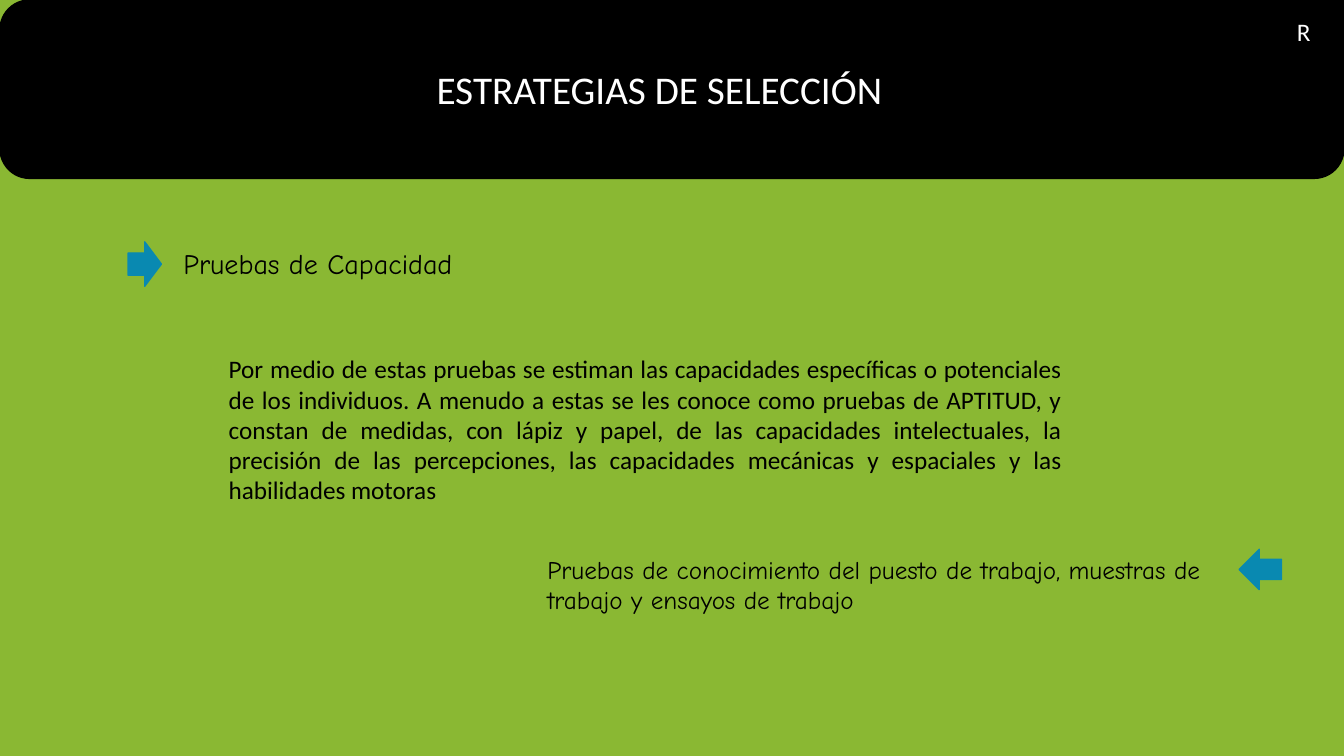
"""Build the slide on selection strategies."""
from pptx import Presentation
from pptx.dml.color import RGBColor
from pptx.enum.shapes import MSO_SHAPE as Form
from pptx.enum.text import MSO_ANCHOR as Anchor, PP_ALIGN as Align
from pptx.util import Inches, Pt

HUES = {"back": "8AB833", "black": "000000", "white": "FFFFFF", "blue": "0989B1"}
SANS, HAND = "Calibri", "Comic Neue"

TITLE = ("ESTRATEGIAS DE SELECCIÓN", (31.73, 8, 41.41, 7.6))
BANNER = (0, 0, 100, 23.6)
CORNER = ("R", (94, 0, 6, 8.27))
ARROWS = [
    (Form.RIGHT_ARROW, (9.53, 32, 2.48, 5.87), 0),
    (Form.DOWN_ARROW, (92.27, 72.53, 3, 5.6), 90),
]
TEXTS = [
    ("Pruebas de Capacidad", (12.9, 32, 27.08, 5.87), HAND, 20, Align.LEFT),
    ("Por medio de estas pruebas se estiman las capacidades específicas o "
     "potenciales de los individuos. A menudo a estas se les conoce como "
     "pruebas de APTITUD, y constan de medidas, con lápiz y papel, de las "
     "capacidades intelectuales, la precisión de las percepciones, las "
     "capacidades mecánicas y espaciales y las habilidades motoras",
     (16.28, 46.13, 63.47, 21.6), SANS, 18, Align.JUSTIFY),
    ("Pruebas de conocimiento del puesto de trabajo, muestras de trabajo y "
     "ensayos de trabajo", (39.98, 72.67, 52.21, 9.47), HAND, 18, Align.LEFT),
]

deck = Presentation()
deck.slide_width, deck.slide_height = Inches(13.33), Inches(7.5)
slide = deck.slides.add_slide(deck.slide_layouts[5])
shapes = slide.shapes


def hue(name):
    return RGBColor.from_string(HUES[name])


def place(box):
    """Turn percentages of the slide into lengths."""
    sides = (deck.slide_width, deck.slide_height) * 2
    return [int(side * share / 100) for side, share in zip(sides, box)]


def write(shape, text, font, size, color, align, anchor=Anchor.TOP):
    frame = shape.text_frame
    frame.word_wrap = True
    frame.vertical_anchor = anchor
    frame.text = text
    para = frame.paragraphs[0]
    para.alignment = align
    para.font.name, para.font.size = font, Pt(size)
    para.font.color.rgb = hue(color)


def draw(form, box, color):
    shape = shapes.add_shape(form, *place(box))
    shape.shadow.inherit = False
    shape.fill.solid()
    shape.fill.fore_color.rgb = shape.line.color.rgb = hue(color)
    shape.line.width = Pt(1)
    return shape


slide.background.fill.solid()
slide.background.fill.fore_color.rgb = hue("back")

banner = draw(Form.ROUNDED_RECTANGLE, BANNER, "black")
title = shapes.title
title.element.addprevious(banner.element)
title.left, title.top, title.width, title.height = place(TITLE[1])
write(title, TITLE[0], SANS, 28, "white", Align.LEFT)

for form, box, turn in ARROWS:
    draw(form, box, "blue").rotation = turn

for text, box, font, size, align in TEXTS:
    write(shapes.add_textbox(*place(box)), text, font, size, "black", align)

corner = draw(Form.RECTANGLE, CORNER[1], "black")
write(corner, CORNER[0], SANS, 18, "white", Align.CENTER, Anchor.MIDDLE)

deck.save("out.pptx")
